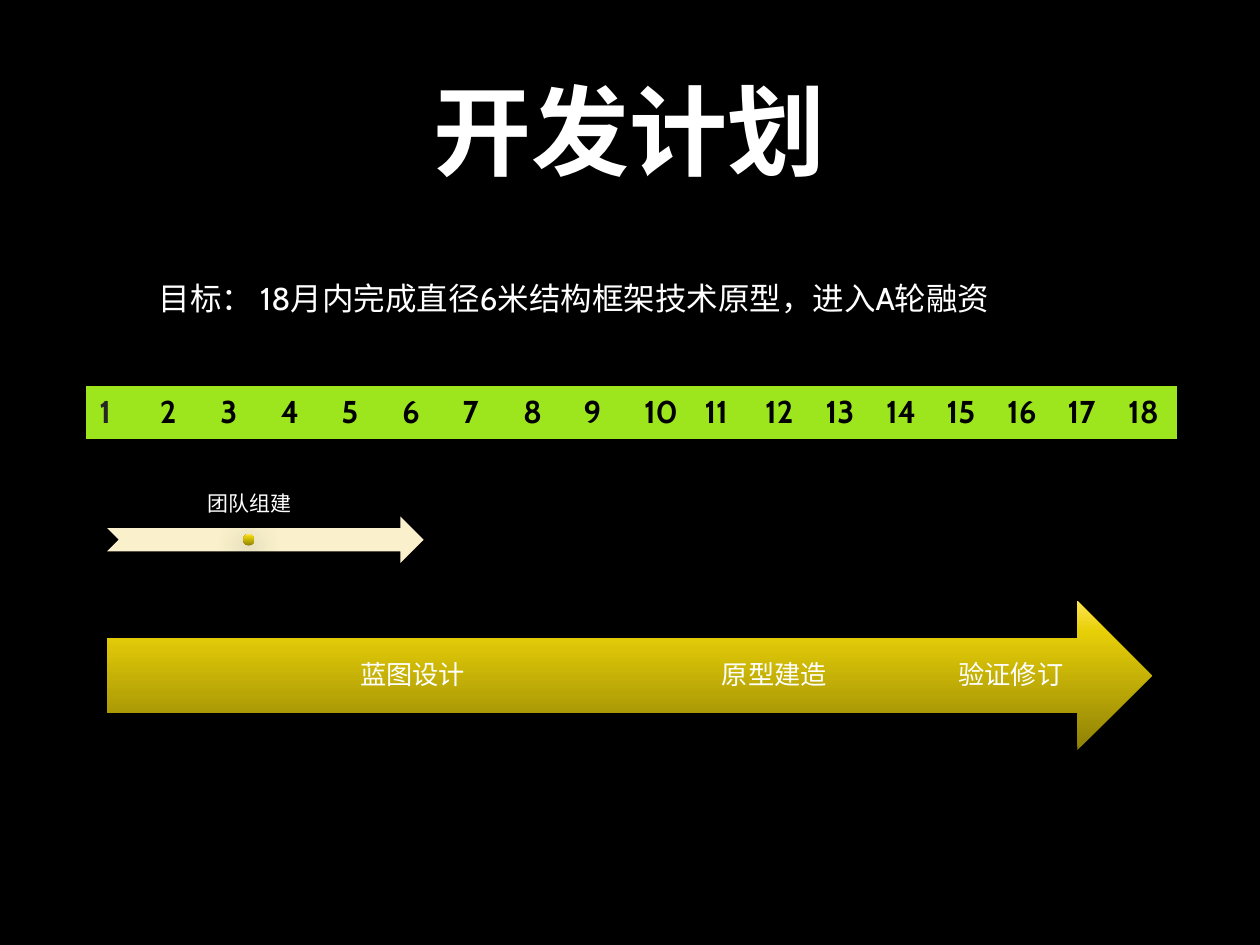
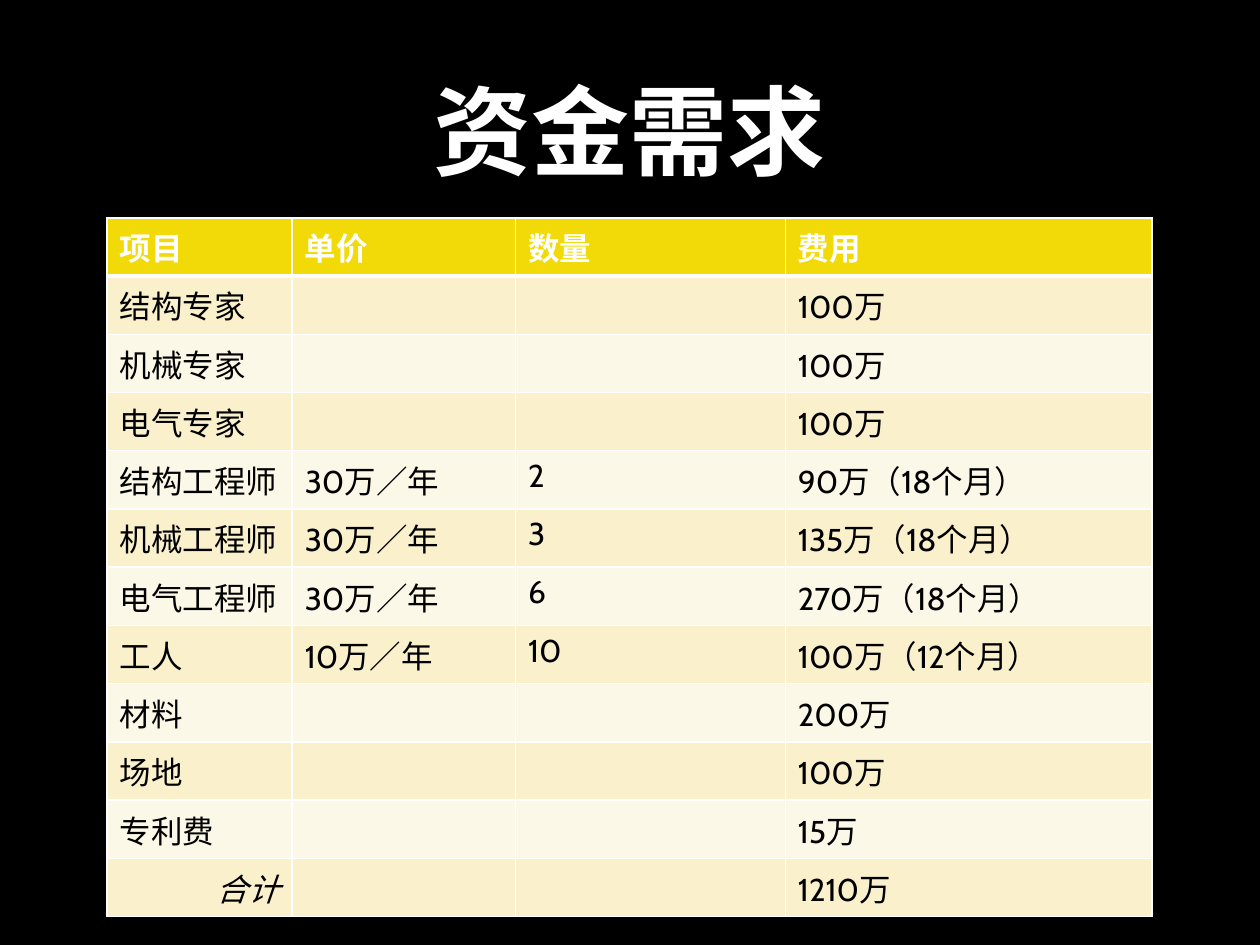
from lxml import etree
from pptx import Presentation
from pptx.dml.color import RGBColor
from pptx.enum.shapes import MSO_SHAPE
from pptx.enum.text import MSO_ANCHOR, MSO_AUTO_SIZE, PP_ALIGN
from pptx.oxml import parse_xml
from pptx.oxml.ns import nsdecls, qn
from pptx.util import Cm, Pt

ARROW, NOTCH, DOT = (MSO_SHAPE.RIGHT_ARROW, MSO_SHAPE.NOTCHED_RIGHT_ARROW,
                     MSO_SHAPE.OVAL)
TOP, MIDDLE, BOTTOM = MSO_ANCHOR.TOP, MSO_ANCHOR.MIDDLE, MSO_ANCHOR.BOTTOM
LEFT, CENTER, RIGHT = PP_ALIGN.LEFT, PP_ALIGN.CENTER, PP_ALIGN.RIGHT
NO_FIT = MSO_AUTO_SIZE.NONE

# Shared look
COLORS = {"black": "000000", "white": "FFFFFF", "dark": "262626",
          "green": "9DE61E", "gold": "F2D908", "cream": "FAF1CC",
          "pale": "FCF8E7"}
GOLDS = [(0, "8F8105"), (80, "E7CF08"), (100, "FFE552")]
LATIN, HAN = "Cabin", "Noto Sans CJK SC"
EDGE, WIDE = 2.16, 21.06

# Plan content (lengths in cm)
PLAN = "开发计划"
GOAL = "目标： 18月内完成直径6米结构框架技术原型，进入A轮融资"
MONTHS = [str(n) for n in range(1, 19)]
TEAM = "团队组建"
STEPS = [("验证修订 ", 18.42, 4.04), ("原型建造", 14.2, 2.82),
         ("蓝图设计", 3.86, 8.92)]

# Funding content
FUNDS = "资金需求"
COSTS = [
    ("项目", "单价", "数量", "费用"),
    ("结构专家", "", "", "100万"),
    ("机械专家", "", "", "100万"),
    ("电气专家", "", "", "100万"),
    ("结构工程师", "30万／年", "2", "90万（18个月）"),
    ("机械工程师", "30万／年", "3", "135万（18个月）"),
    ("电气工程师", "30万／年", "6", "270万（18个月）"),
    ("工人", "10万／年", "10", "100万（12个月）"),
    ("材料", "", "", "200万"),
    ("场地", "", "", "100万"),
    ("专利费", "", "", "15万"),
    ("合计", "", "", "1210万"),
]
COST_COLS = [3.73, 4.5, 5.44, 7.39]


def rgb(name):
    return RGBColor.from_string(COLORS[name])


def write(frame, text, size, color="white", bold=False, align=LEFT, face=LATIN):
    frame.text = text
    para = frame.paragraphs[0]
    para.alignment = align
    font = para.font
    font.size, font.bold, font.name = Pt(size), bold, face
    font.color.rgb = rgb(color)
    east = etree.SubElement(font._element, qn("a:ea"))
    east.set("typeface", HAN)
    return para


def label(shapes, text, box, size, anchor=TOP, align=LEFT, pad=None):
    frame = shapes.add_textbox(*map(Cm, box)).text_frame
    frame.word_wrap = True
    frame.vertical_anchor = anchor
    para = write(frame, text, size, align=align)
    if pad:
        side, end = map(Cm, pad)
        frame.margin_left = frame.margin_right = side
        frame.margin_top = frame.margin_bottom = end
        para.line_spacing = 0.9


def glow(shapes, kind, box, color=None):
    """Add a shape with a soft shadow, filled plain or with the gold fade."""
    shape = shapes.add_shape(kind, *map(Cm, box))
    shape.line.fill.background()
    props = shape._element.spPr
    if color:
        shape.fill.solid()
        shape.fill.fore_color.rgb = rgb(color)
    else:
        stops = "".join(
            f'<a:gs pos="{at * 1000}"><a:srgbClr val="{tone}"/></a:gs>'
            for at, tone in GOLDS)
        fade = parse_xml(
            f'<a:gradFill {nsdecls("a")} rotWithShape="1"><a:gsLst>{stops}'
            '</a:gsLst><a:lin ang="16200000" scaled="0"/></a:gradFill>')
        props.find(qn("a:prstGeom")).addnext(fade)
    props.append(parse_xml(
        f'<a:effectLst {nsdecls("a")}><a:outerShdw blurRad="{Pt(18)}" '
        f'dist="{Pt(3)}" dir="5400000" rotWithShape="0">'
        '<a:srgbClr val="000000"><a:alpha val="80000"/></a:srgbClr>'
        '</a:outerShdw></a:effectLst>'))


def paint(cell, fill, edge, top=1, bottom=1):
    props = cell._tc.get_or_add_tcPr()
    for side, width in (("L", 1), ("R", 1), ("T", top), ("B", bottom)):
        props.append(parse_xml(
            f'<a:ln{side} {nsdecls("a")} w="{Pt(width)}"><a:solidFill>'
            f'<a:srgbClr val="{COLORS[edge]}"/></a:solidFill></a:ln{side}>'))
    cell.fill.solid()
    cell.fill.fore_color.rgb = rgb(fill)


def grid(slide, rows, left, top, cols, high):
    frame = slide.shapes.add_table(len(rows), len(cols), Cm(left), Cm(top),
                                   Cm(sum(cols)), Cm(high * len(rows)))
    table = frame.table
    table.first_row = table.horz_banding = False
    for col, width in zip(table.columns, cols):
        col.width = Cm(width)
    for row in table.rows:
        row.height = Cm(high)
    return table


def start(deck, title):
    slide = deck.slides.add_slide(deck.slide_layouts[5])
    head = slide.shapes.title
    head.left, head.top, head.width, head.height = map(Cm, (EDGE, 0.3, WIDE, 4.6))
    frame = head.text_frame
    frame.auto_size, frame.vertical_anchor = NO_FIT, MIDDLE
    write(frame, title, 56, bold=True, align=CENTER, face=HAN)
    return slide


def plan(deck):
    slide = start(deck, PLAN)
    # Month band
    table = grid(slide, [MONTHS], 1.75, 7.8, [1.22] * len(MONTHS), 1.04)
    for i, month in enumerate(MONTHS):
        cell = table.cell(0, i)
        paint(cell, "green", "green")
        write(cell.text_frame, month, 18, "black" if i else "dark", True)
    label(slide.shapes, GOAL, (2.95, 5.51, 17.37, 1.02), 18)
    # Team arrow
    team = slide.shapes.add_group_shape().shapes
    glow(team, NOTCH, (EDGE, 10.41, 6.38, 0.94), "cream")
    label(team, TEAM, (EDGE, 9.7, 5.74, 0.94), 12, BOTTOM, CENTER, (0.23, 0.23))
    glow(team, DOT, (4.9, 10.77, 0.23, 0.23))
    # Work arrow
    work = slide.shapes.add_group_shape().shapes
    glow(work, ARROW, (EDGE, 12.12, WIDE, 3))
    for text, left, width in STEPS:
        label(work, text, (left, 12.88, width, 1.5), 15, MIDDLE, CENTER, (0, 0.43))


def funds(deck):
    slide = start(deck, FUNDS)
    table = grid(slide, COSTS, EDGE, 4.39, COST_COLS, 1.03)
    for r, row in enumerate(COSTS):
        head = r == 0
        fill = "gold" if head else ("pale", "cream")[r % 2]
        for c, text in enumerate(row):
            cell = table.cell(r, c)
            paint(cell, fill, "white", 3 if r == 1 else 1, 3 if head else 1)
            if text:
                write(cell.text_frame, text, 18, "white" if head else "black", head)
    # Total label
    total = table.cell(len(COSTS) - 1, 0).text_frame.paragraphs[0]
    total.alignment = RIGHT
    total.font.italic = True


def main():
    deck = Presentation()
    deck.slide_width, deck.slide_height = Cm(25.4), Cm(19.05)
    back = deck.slide_master.background.fill
    back.solid()
    back.fore_color.rgb = rgb("black")
    plan(deck)
    funds(deck)
    deck.save("out.pptx")


if __name__ == "__main__":
    main()
